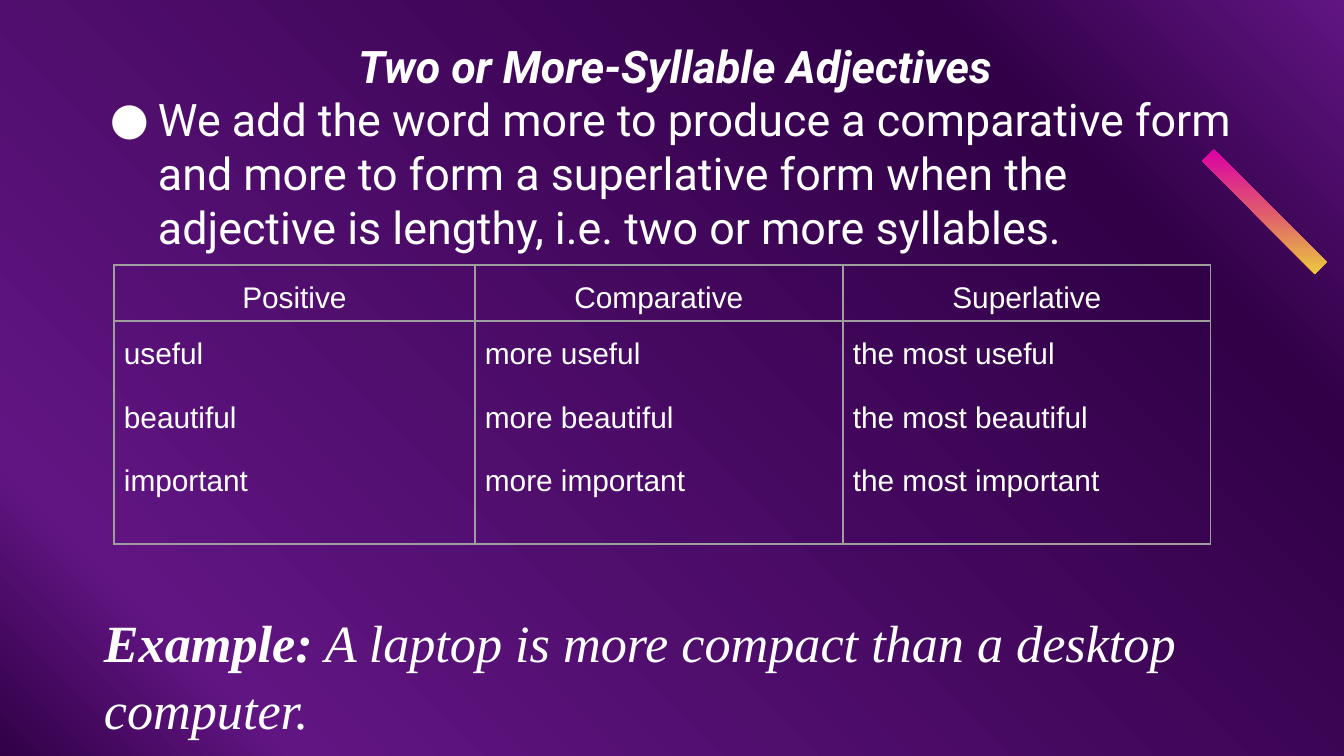
import lxml.etree
import pptx
import pptx.dml.color
import pptx.enum.text
import pptx.oxml.ns
import pptx.util

WIDTH, HEIGHT = 1344, 756
SCALE = 9144000 / WIDTH
COLORS = {
    "white": "FFFFFF", "border": "9E9E9E",
    "dark": "310047", "purple": "611582",
    "magenta": "DB00A6", "coral": "DF596E", "yellow": "EAC93D",
}
ALIGN = pptx.enum.text.PP_ALIGN
qn = pptx.oxml.ns.qn


def px(length):
    return pptx.util.Emu(round(length * SCALE))


def rgb(name):
    return pptx.dml.color.RGBColor.from_string(COLORS[name])


def add_element(parent, tag, **attributes):
    return lxml.etree.SubElement(parent, qn(tag), attributes)


def set_gradient(owner, fill, stops, angle):
    """Fill with (percent, color) stops; the angle runs counter-clockwise."""
    fill.gradient()
    fill.gradient_angle = angle
    stop_list = owner.element.find(".//" + qn("a:gsLst"))
    for stop in list(stop_list):
        stop_list.remove(stop)
    for percent, name in stops:
        stop = add_element(stop_list, "a:gs", pos=str(percent * 1000))
        add_element(stop, "a:srgbClr", val=COLORS[name])


def write_text(frame, paragraphs, size, font, align=ALIGN.LEFT, bold=False, italic=False,
               line_spacing=1.0, space_after=0, margins=(13, 13, 13, 13), bullet=None):
    """Write paragraphs, each a list of (text, bold) runs or a plain string."""
    frame.word_wrap = True
    frame.auto_size = pptx.enum.text.MSO_AUTO_SIZE.NONE
    frame.vertical_anchor = pptx.enum.text.MSO_ANCHOR.TOP
    (frame.margin_left, frame.margin_top,
     frame.margin_right, frame.margin_bottom) = map(px, margins)
    for index, runs in enumerate(paragraphs):
        paragraph = frame.paragraphs[0] if index == 0 else frame.add_paragraph()
        paragraph.alignment = align
        paragraph.line_spacing = line_spacing
        paragraph.space_before = pptx.util.Pt(0)
        paragraph.space_after = pptx.util.Pt(space_after)
        if bullet:
            properties = paragraph._p.get_or_add_pPr()
            properties.set("marL", str(px(67)))
            properties.set("indent", str(-px(48)))
            color = add_element(properties, "a:buClr")
            add_element(color, "a:srgbClr", val=COLORS["white"])
            add_element(properties, "a:buFont", typeface=font)
            add_element(properties, "a:buChar", char=bullet)
        for text, run_bold in [(runs, bold)] if isinstance(runs, str) else runs:
            run = paragraph.add_run()
            run.text = text
            run.font.name = font
            run.font.size = pptx.util.Pt(size)
            run.font.bold = run_bold
            run.font.italic = italic
            run.font.color.rgb = rgb("white")


def add_text(slide, box, paragraphs, **text_format):
    shape = slide.shapes.add_textbox(*map(px, box))
    write_text(shape.text_frame, paragraphs, **text_format)


def add_accent_bar(slide, box):
    """Draw a diagonal bar from the top left to the bottom right of the box."""
    left, top, width, height = box
    thick = 12
    points = [(0, thick), (thick, 0), (width, height - thick), (width - thick, height)]
    points = [(left + x, top + y) for x, y in points]
    builder = slide.shapes.build_freeform(*points[0], scale=SCALE)
    builder.add_line_segments(points[1:], close=True)
    bar = builder.convert_to_shape()
    bar.shadow.inherit = False
    bar.line.fill.background()
    set_gradient(bar, bar.fill, [(0, "magenta"), (50, "coral"), (100, "yellow")], 270)


def add_rule(slide, box):
    """Place the heading and the bulleted rule below it."""
    left, top, width, height = box
    heading_height = 53
    title = slide.shapes.title
    title.left, title.top, title.width, title.height = map(
        px, (left, top, width, heading_height + 13))
    write_text(title.text_frame, ["Two or More-Syllable Adjectives"], size=24, font="Roboto",
               align=ALIGN.CENTER, bold=True, italic=True, margins=(32, 13, 13, 0))
    add_text(slide, (left, top + heading_height, width, height - heading_height),
             ["We add the word more to produce a comparative form and more to form a "
              "superlative form when the adjective is lengthy, i.e. two or more syllables."],
             size=24, font="Roboto", bullet="●")


def add_borders(cell):
    properties = cell._tc.get_or_add_tcPr()
    for index, side in enumerate(("a:lnL", "a:lnR", "a:lnT", "a:lnB")):
        line = add_element(properties, side, w=str(pptx.util.Pt(0.75)))
        fill = add_element(line, "a:solidFill")
        add_element(fill, "a:srgbClr", val=COLORS["border"])
        properties.insert(index, line)


def add_degrees_table(slide, box):
    adjectives = ["useful", "beautiful", "important"]
    columns = [("Positive", ""), ("Comparative", "more "), ("Superlative", "the most ")]
    column_widths, row_heights = (361, 368, 368), (56, 223)
    table = slide.shapes.add_table(2, len(columns), *map(px, box)).table
    table.first_row = table.horz_banding = False
    for row, height in zip(table.rows, row_heights):
        row.height = px(height)
    for index, (heading, prefix) in enumerate(columns):
        table.columns[index].width = px(column_widths[index])
        contents = [([heading], ALIGN.CENTER),
                    ([prefix + adjective for adjective in adjectives], ALIGN.LEFT)]
        for row, (paragraphs, align) in enumerate(contents):
            cell = table.cell(row, index)
            cell.fill.background()
            write_text(cell.text_frame, paragraphs, size=16, font="Arial", align=align,
                       line_spacing=1.5, space_after=7.5)
            cell.margin_left = cell.margin_right = px(10)
            cell.margin_top = cell.margin_bottom = 0
            cell.vertical_anchor = pptx.enum.text.MSO_ANCHOR.TOP
            add_borders(cell)


def add_example(slide, box):
    add_text(slide, box,
             [[("Example:", True), (" A laptop is more compact than a desktop computer.", False)]],
             size=28, font="Times New Roman", italic=True,
             line_spacing=1.07, space_after=8, margins=(13, 7, 13, 7))


def main():
    presentation = pptx.Presentation()
    presentation.slide_width, presentation.slide_height = px(WIDTH), px(HEIGHT)
    slide = presentation.slides.add_slide(presentation.slide_layouts.get_by_name("Title Only"))
    set_gradient(slide, slide.background.fill,
                 [(0, "dark"), (14, "purple"), (80, "dark"), (100, "purple")], 45)
    add_accent_bar(slide, (1202, 149, 125, 125))
    add_rule(slide, (78, 26, 1175, 236))
    add_degrees_table(slide, (114, 265, 1097, 279))
    add_example(slide, (91, 599, 1161, 172))
    presentation.save("out.pptx")


if __name__ == "__main__":
    main()
